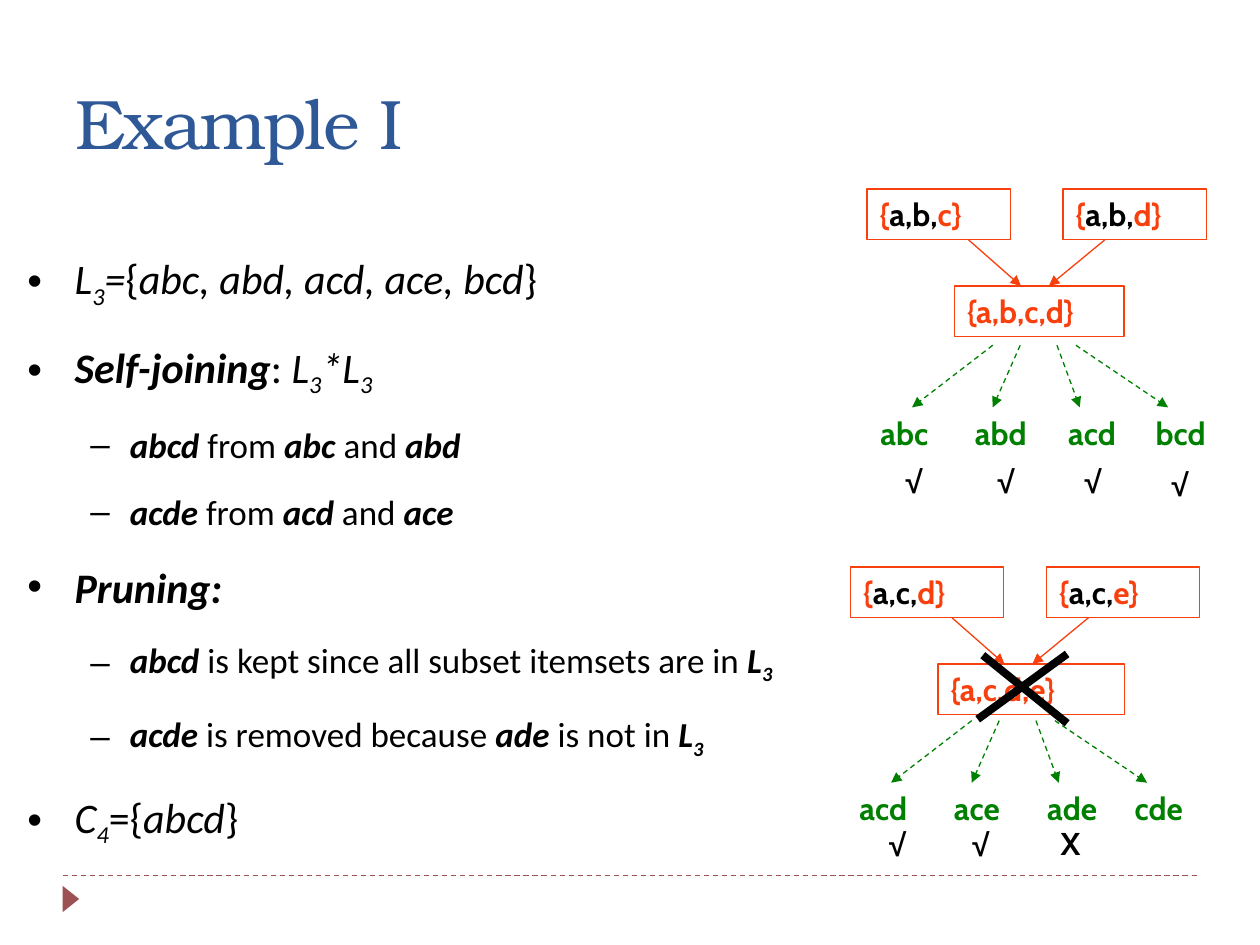
from lxml import etree
from pptx import Presentation
from pptx.dml.color import RGBColor
from pptx.enum import dml, shapes, text
from pptx.oxml import ns
from pptx.util import Pt

BLUE = RGBColor(0x2F, 0x58, 0x97)
MAROON = RGBColor(0x9C, 0x52, 0x52)
ORANGE = RGBColor(0xF8, 0x40, 0x0E)
GREEN = RGBColor(0x00, 0x80, 0x00)
BLACK = RGBColor(0x00, 0x00, 0x00)

# Run styles: b bold, i italic, s subscript
BODY = [
    (0, [("L", "i"), ("3", "is"), ("=", "i"), ("{", ""),
         ("abc, abd, acd, ace, bcd", "i"), ("}", "")]),
    (0, [("Self-joining", "bi"), (": ", ""), ("L", "i"), ("3", "is"),
         ("*L", "i"), ("3", "is")]),
    (1, [("abcd ", "bi"), ("from ", ""), ("abc ", "bi"), ("and ", ""), ("abd", "bi")]),
    (1, [("acde", "bi"), (" from ", ""), ("acd", "bi"), (" and ", ""), ("ace", "bi")]),
    (0, [("Pruning:", "bi")]),
    (1, [("abcd ", "bi"), ("is kept since all subset itemsets are in ", ""),
         ("L", "bi"), ("3", "bis")]),
    (1, [("acde ", "bi"), ("is removed because ", ""), ("ade", "bi"),
         (" is not in ", ""), ("L", "bi"), ("3", "bis")]),
    (0, [("C", "i"), ("4", "is"), ("={", ""), ("abcd", "i"), ("}", "")]),
]
# Size, space before, bullet, left margin, first-line indent
LEVELS = [(24, 8, "•", 27, -27), (20, 7, "–", 58.5, -22.5)]

TREES = [
    {"join": (495.4, 108), "leaf": (496, 197.3), "parent_width": 82, "joined_width": 97,
     "parents": [("a,b,", "c}"), ("a,b,", "d}")], "joined": "{a,b,c,d}",
     "leaves": ["abc", "abd", "acd", "bcd"],
     "marks": [("√", 510.5, 260.6), ("√", 563, 260.6), ("√", 612.7, 260.6), ("√", 662.4, 262)]},
    {"join": (486, 324), "leaf": (484, 411.8), "parent_width": 87.5, "joined_width": 106.5,
     "parents": [("a,c,", "d}"), ("a,c,", "e}")], "joined": "{a,c,d,e}",
     "leaves": ["acd", "ace", "ade", "cde"],
     "marks": [("√", 501, 468), ("√", 548.6, 468), ("X", 599, 467.3)]},
]
BOX_HEIGHT = 29
PARENT_STEP = 112
JOINED_OFFSET = (50, 55.4)
JOIN_ARROWS = [(58, 88), (136, 104)]
LEAF_ARROWS = [(71.3, 25.2), (87, 71.3), (108, 121), (118.8, 171.5)]
LEAF_OFFSETS = [0, 54, 107.3, 157.3]
LEAF_DROP = 35.5
CROSS = [(558.7, 411, 609.8, 373.7), (561.6, 374.4, 609.8, 413.3)]

presentation = Presentation()
presentation.slide_width, presentation.slide_height = Pt(720), Pt(540)
slide = presentation.slides.add_slide(presentation.slide_layouts[6])


def add_run(paragraph, wording, font, size, color, style=""):
    run = paragraph.add_run()
    run.text = wording
    run.font.name, run.font.size = font, Pt(size)
    run.font.color.rgb = color
    run.font.bold, run.font.italic = "b" in style, "i" in style
    if "s" in style:
        run._r.get_or_add_rPr().set("baseline", "-25000")
    return run


def add_textbox(left, top, width, height):
    frame = slide.shapes.add_textbox(Pt(left), Pt(top), Pt(width), Pt(height)).text_frame
    frame.word_wrap = True
    return frame


def add_label(wording, left, top, width, color, font="Cabin"):
    frame = add_textbox(left, top, width, BOX_HEIGHT)
    add_run(frame.paragraphs[0], wording, font, 18, color, "b")


def add_box(runs, left, top, width):
    box = slide.shapes.add_shape(shapes.MSO_SHAPE.RECTANGLE, Pt(left), Pt(top),
                                 Pt(width), Pt(BOX_HEIGHT))
    box.shadow.inherit = False
    box.fill.background()
    box.line.color.rgb, box.line.width = ORANGE, Pt(0.75)
    box.text_frame.vertical_anchor = text.MSO_ANCHOR.TOP
    paragraph = box.text_frame.paragraphs[0]
    paragraph.alignment = text.PP_ALIGN.LEFT
    for wording, color in runs:
        add_run(paragraph, wording, "Cabin", 18, color, "b")


def add_line(x1, y1, x2, y2, color, width=0.75, dashed=False, arrow=False):
    line = slide.shapes.add_connector(shapes.MSO_CONNECTOR.STRAIGHT,
                                      Pt(x1), Pt(y1), Pt(x2), Pt(y2))
    line.line.color.rgb, line.line.width = color, Pt(width)
    if dashed:
        line.line.dash_style = dml.MSO_LINE.DASH
    if arrow:
        etree.SubElement(line.line._get_or_add_ln(), ns.qn("a:tailEnd"), type="triangle")
    etree.SubElement(line._element.spPr, ns.qn("a:effectLst"))


def add_body():
    frame = add_textbox(8.6, 131, 453.6, 402.5)
    for index, (level, runs) in enumerate(BODY):
        size, before, bullet, margin, indent = LEVELS[level]
        paragraph = frame.add_paragraph() if index else frame.paragraphs[0]
        paragraph.level = level
        properties = paragraph._p.get_or_add_pPr()
        properties.set("marL", str(Pt(margin)))
        properties.set("indent", str(Pt(indent)))
        etree.SubElement(properties, ns.qn("a:buFont"), typeface="Arial")
        etree.SubElement(properties, ns.qn("a:buChar"), char=bullet)
        paragraph.line_spacing = 1.3
        paragraph.space_before = Pt(before if index else 0)
        for wording, style in runs:
            add_run(paragraph, wording, "Calibri", size, BLACK, style)


def add_tree(tree):
    left, top = tree["join"]
    for index, (shared, last) in enumerate(tree["parents"]):
        add_box([("{", ORANGE), (shared, BLACK), (last, ORANGE)],
                left + index * PARENT_STEP, top, tree["parent_width"])
    joined_left, joined_top = left + JOINED_OFFSET[0], top + JOINED_OFFSET[1]
    for start, end in JOIN_ARROWS:
        add_line(left + start, top + BOX_HEIGHT, left + end, joined_top, ORANGE, arrow=True)
    add_box([(tree["joined"], ORANGE)], joined_left, joined_top, tree["joined_width"])

    left, top = tree["leaf"]
    for leaf, offset, (start, end) in zip(tree["leaves"], LEAF_OFFSETS, LEAF_ARROWS):
        add_line(left + start, top, left + end, top + LEAF_DROP, GREEN, dashed=True, arrow=True)
        add_label(leaf, left + offset, top + LEAF_DROP, 53, GREEN)
    for mark, mark_left, mark_top in tree["marks"]:
        add_label(mark, mark_left, mark_top, 28, BLACK, "Cabin" if mark == "X" else "Arial")


add_line(36, 500.4, 684, 500.4, MAROON, dashed=True)
marker = slide.shapes.add_shape(shapes.MSO_SHAPE.ISOSCELES_TRIANGLE,
                                Pt(33), Pt(509), Pt(15), Pt(9.4))
marker.rotation = 90
marker.shadow.inherit = False
marker.fill.solid()
marker.fill.fore_color.rgb = MAROON
marker.line.fill.background()

title = add_textbox(36, 41.8, 648, 77.8)
title_run = add_run(title.paragraphs[0], "Example I", "TeX Gyre Bonum", 40, BLUE)
title_run._r.get_or_add_rPr().set("spc", "-100")

add_body()
for tree in TREES:
    add_tree(tree)
for ends in CROSS:
    add_line(*ends, BLACK, width=4.5)

presentation.save("out.pptx")
